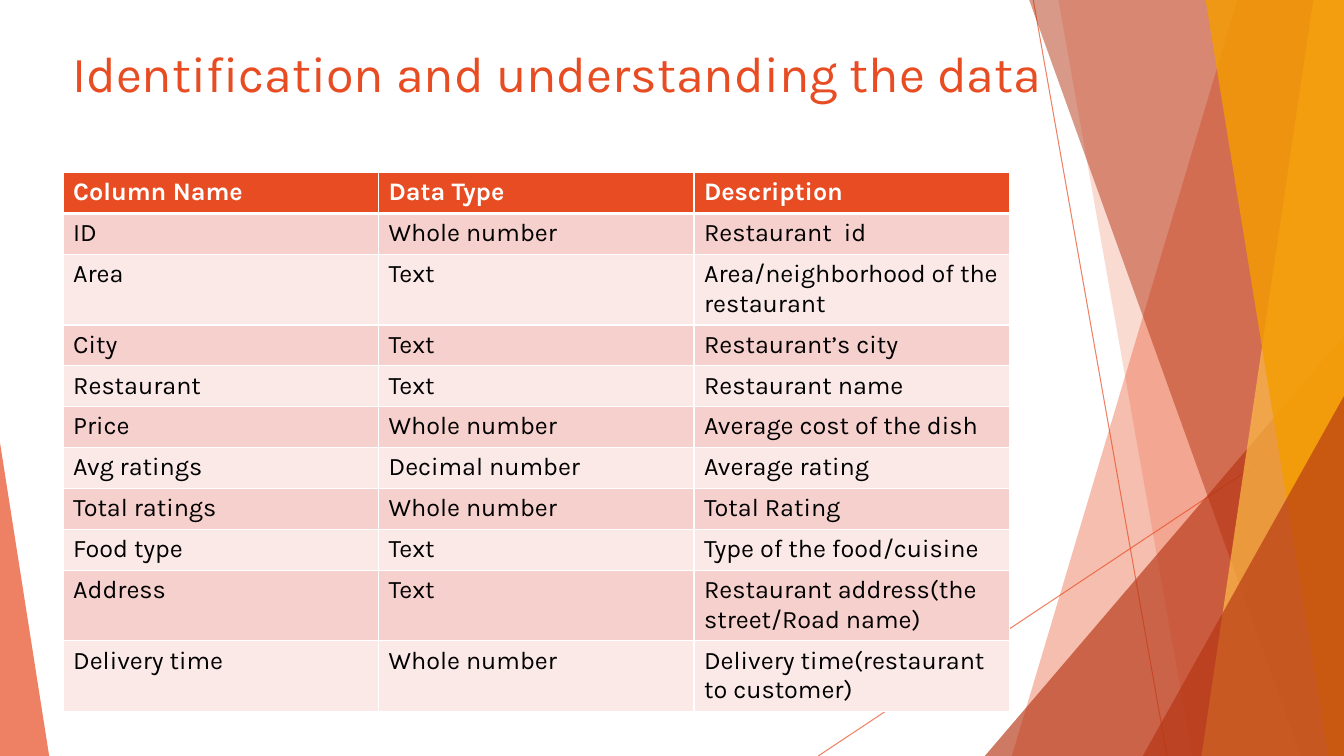
from dataclasses import dataclass

from lxml import etree
from pptx import Presentation
from pptx.dml.color import RGBColor
from pptx.enum.shapes import MSO_CONNECTOR, MSO_SHAPE
from pptx.oxml.ns import qn
from pptx.shapes.autoshape import Shape
from pptx.shapes.shapetree import SlideShapes
from pptx.table import _Cell
from pptx.util import Cm, Pt

STRAIGHT = MSO_CONNECTOR.STRAIGHT
TRIANGLE = MSO_SHAPE.ISOSCELES_TRIANGLE

ORANGE = RGBColor(0xE8, 0x4C, 0x22)
RUST = RGBColor(0xB5, 0x35, 0x13)
YELLOW = RGBColor(0xFF, 0xBD, 0x47)
AMBER = RGBColor(0xF4, 0x9D, 0x00)
ROSE = RGBColor(0xF6, 0xD0, 0xCD)
BLUSH = RGBColor(0xFB, 0xE9, 0xE8)
WHITE = RGBColor(0xFF, 0xFF, 0xFF)
BLACK = RGBColor(0x00, 0x00, 0x00)

FONT = "Karla"
WIDE, HIGH = 33.87, 19.05
COL, ROW = 7.95, 1.03


@dataclass
class Ray:
    x1: float
    y1: float
    x2: float
    y2: float


@dataclass
class Band:
    top: float
    base: float
    color: RGBColor
    alpha: int


@dataclass
class Peak:
    left: float
    top: float
    width: float
    tip: float
    color: RGBColor
    alpha: int


RAYS = [Ray(26.04, 0, 29.41, HIGH), Ray(WIDE, 10.24, 20.62, HIGH)]

FACETS = [
    Band(31.19, 25.5, ORANGE, 36),
    Band(26.67, 30.05, ORANGE, 20),
    Peak(24.82, 8.46, 9.05, 1, RUST, 66),
    Band(25.93, 32.79, RUST, 50),
    Band(33.1, 30.28, YELLOW, 70),
    Band(30.38, 33.48, AMBER, 80),
    Peak(28.8, 9.98, 5.07, 1, RUST, 66),
    Peak(0, 11.15, 1.24, 0, ORANGE, 70),
]

DATA = [
    ("Column Name", "Data Type", "Description"),
    ("ID", "Whole number", "Restaurant  id"),
    ("Area", "Text", "Area/neighborhood of the restaurant"),
    ("City", "Text", "Restaurant’s city"),
    ("Restaurant", "Text", "Restaurant name"),
    ("Price", "Whole number", "Average cost of the dish"),
    ("Avg ratings", "Decimal number", "Average rating"),
    ("Total ratings", "Whole number", "Total Rating"),
    ("Food type", "Text", "Type of the food/cuisine"),
    ("Address", "Text", "Restaurant address(the street/Road name)"),
    ("Delivery time", "Whole number", "Delivery time(restaurant to customer)"),
]


def fade(shape, alpha: int) -> None:
    for tint in shape._element.spPr.iter(qn("a:srgbClr")):
        etree.SubElement(tint, qn("a:alpha"), val=str(alpha * 1000))


def draw_ray(shapes: SlideShapes, ray: Ray) -> None:
    line = shapes.add_connector(
        STRAIGHT, Cm(ray.x1), Cm(ray.y1), Cm(ray.x2), Cm(ray.y2))
    line.line.color.rgb = ORANGE
    line.line.width = Pt(0.75)
    fade(line, 70)
    etree.SubElement(line._element.spPr, qn("a:effectLst"))


def add_band(shapes: SlideShapes, band: Band) -> Shape:
    path = shapes.build_freeform(Cm(band.top), Cm(-0.02))
    path.add_line_segments([
        (Cm(WIDE), Cm(-0.02)), (Cm(WIDE), Cm(HIGH)), (Cm(band.base), Cm(HIGH))])
    return path.convert_to_shape()


def add_peak(shapes: SlideShapes, peak: Peak) -> Shape:
    shape = shapes.add_shape(
        TRIANGLE, Cm(peak.left), Cm(peak.top), Cm(peak.width), Cm(HIGH - peak.top))
    shape.adjustments[0] = peak.tip
    return shape


def draw_facet(shapes: SlideShapes, facet: Band | Peak) -> None:
    add = add_band if isinstance(facet, Band) else add_peak
    shape = add(shapes, facet)
    shape.fill.solid()
    shape.fill.fore_color.rgb = facet.color
    shape.line.fill.background()
    shape.shadow.inherit = False
    fade(shape, facet.alpha)


def draw_title(shapes: SlideShapes) -> None:
    box = shapes.add_textbox(Cm(1.57), Cm(0.94), Cm(25.7), Cm(3.66))
    frame = box.text_frame
    frame.word_wrap = True
    frame.text = "Identification and understanding the data"
    font = frame.paragraphs[0].runs[0].font
    font.name, font.size, font.color.rgb = FONT, Pt(36), ORANGE


def edge(cell: _Cell, row: int) -> None:
    props = cell._tc.get_or_add_tcPr()
    thick = {0: "B", 1: "T"}.get(row)
    for side in "LRTB":
        width = Pt(3 if side == thick else 1)
        line = etree.SubElement(props, qn(f"a:ln{side}"), w=str(width))
        fill = etree.SubElement(line, qn("a:solidFill"))
        etree.SubElement(fill, qn("a:srgbClr"), val=str(WHITE))


def fill_cell(cell: _Cell, row: int, text: str) -> None:
    head = row == 0
    edge(cell, row)
    cell.fill.solid()
    cell.fill.fore_color.rgb = ORANGE if head else ROSE if row % 2 else BLUSH
    cell.text_frame.text = text
    font = cell.text_frame.paragraphs[0].runs[0].font
    font.name, font.size, font.bold = FONT, Pt(18), head
    font.color.rgb = WHITE if head else BLACK


def draw_table(shapes: SlideShapes) -> None:
    rows, cols = len(DATA), len(DATA[0])
    table = shapes.add_table(
        rows, cols, Cm(1.59), Cm(4.35), Cm(COL * cols), Cm(ROW * rows)).table
    for col in table.columns:
        col.width = Cm(COL)
    for r, texts in enumerate(DATA):
        table.rows[r].height = Cm(ROW)
        for c, text in enumerate(texts):
            fill_cell(table.cell(r, c), r, text)


def main() -> None:
    deck = Presentation()
    deck.slide_width, deck.slide_height = Cm(WIDE), Cm(HIGH)
    shapes = deck.slides.add_slide(deck.slide_layouts[6]).shapes
    for ray in RAYS:
        draw_ray(shapes, ray)
    for facet in FACETS:
        draw_facet(shapes, facet)
    draw_title(shapes)
    draw_table(shapes)
    deck.save("out.pptx")


if __name__ == "__main__":
    main()
